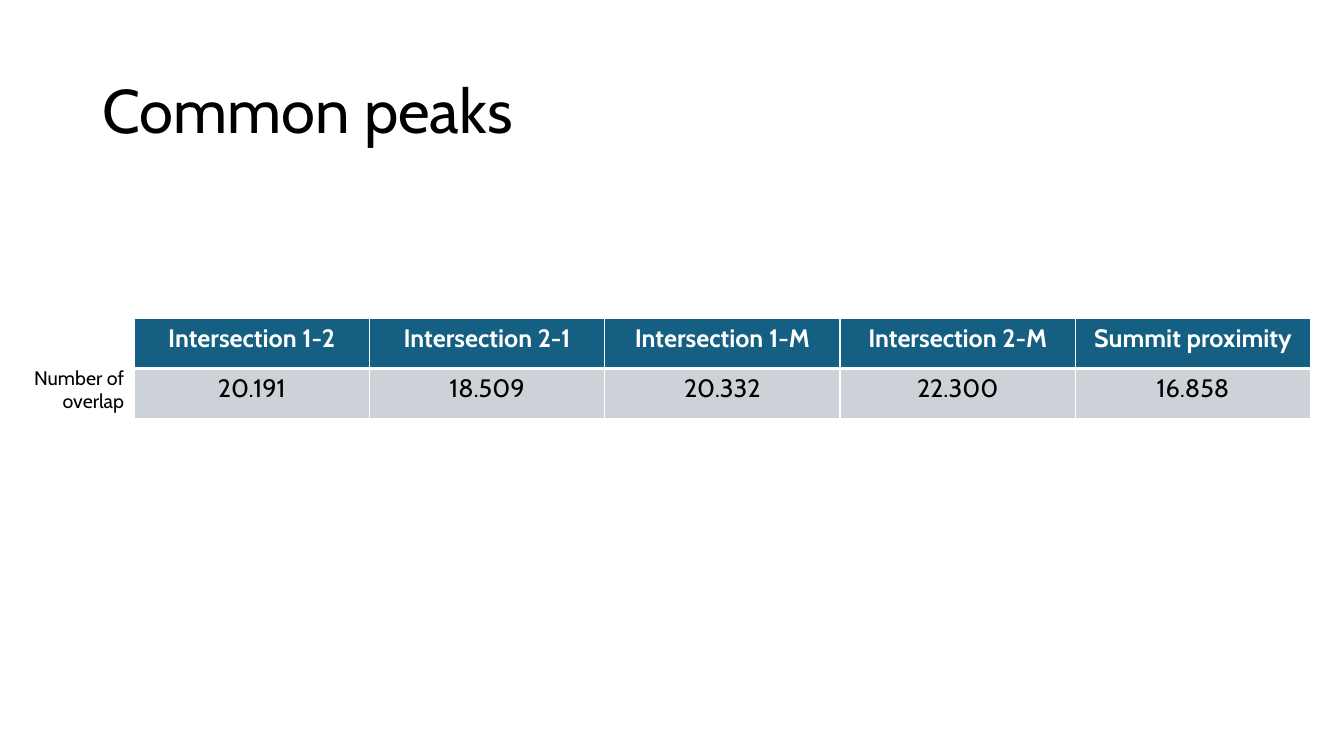
import pptx
import pptx.dml.color
import pptx.enum.text
import pptx.oxml
import pptx.oxml.ns
import pptx.util
from pptx.util import Inches

FONT = "Cabin"
ALIGN = pptx.enum.text.PP_ALIGN
ANCHOR = pptx.enum.text.MSO_ANCHOR
OVERLAPS = {
    "Intersection 1-2": "20.191",
    "Intersection 2-1": "18.509",
    "Intersection 1-M": "20.332",
    "Intersection 2-M": "22.300",
    "Summit proximity": "16.858",
}


def color(value):
    """Turn a hex string into a colour."""
    return pptx.dml.color.RGBColor.from_string(value)


def write(frame, text, size, align, ink="000000", bold=False):
    """Put one formatted paragraph in a text frame and return it."""
    frame.text = text
    para = frame.paragraphs[0]
    para.alignment = align
    para.font.name = FONT
    para.font.size = pptx.util.Pt(size)
    para.font.bold = bold
    para.font.color.rgb = color(ink)
    return para


def add_border(cell, side, width):
    """Draw a white line of the given width in points on one cell side."""
    cell._tc.get_or_add_tcPr().append(pptx.oxml.parse_xml(
        f'<a:ln{side} {pptx.oxml.ns.nsdecls("a")} w="{pptx.util.Pt(width)}">'
        f'<a:solidFill><a:srgbClr val="FFFFFF"/></a:solidFill></a:ln{side}>'))


def place_title(page, text, left, top, width, height):
    """Move and format the title placeholder."""
    title = page.shapes.title
    title.left, title.top, title.width, title.height = map(
        Inches, (left, top, width, height))
    title.text_frame.vertical_anchor = ANCHOR.MIDDLE
    para = write(title.text_frame, text, 44, ALIGN.LEFT)
    para.line_spacing = 0.9


def add_overlap_table(page, left, top, width, height):
    """Add the table of overlap counts with its row label on the left."""
    rows = [list(OVERLAPS), list(OVERLAPS.values())]
    table = page.shapes.add_table(
        len(rows), len(OVERLAPS), *map(Inches, (left, top, width, height))).table
    for row_index, texts in enumerate(rows):
        header = row_index == 0
        widths = {"L": 1, "R": 1, "T": 1 if header else 3, "B": 3 if header else 1}
        for column_index, text in enumerate(texts):
            cell = table.cell(row_index, column_index)
            write(cell.text_frame, text, 18, ALIGN.CENTER,
                  "FFFFFF" if header else "000000", header)
            for side, line_width in widths.items():
                add_border(cell, side, line_width)
            cell.fill.solid()
            cell.fill.fore_color.rgb = color("156082" if header else "CCD2D8")

    label_width, label_height = 1.16, 0.57
    label = page.shapes.add_textbox(
        Inches(left - label_width), Inches(top + height - label_height),
        Inches(label_width), Inches(label_height))
    label.text_frame.word_wrap = True
    label.text_frame.auto_size = pptx.enum.text.MSO_AUTO_SIZE.SHAPE_TO_FIT_TEXT
    write(label.text_frame, "Number of overlap", 14, ALIGN.RIGHT)


def main():
    """Build and save the deck."""
    deck = pptx.Presentation()
    deck.slide_width, deck.slide_height = Inches(13.33), Inches(7.5)
    page = deck.slides.add_slide(deck.slide_layouts[5])
    place_title(page, "Common peaks", 0.92, 0.4, 11.5, 1.45)
    add_overlap_table(page, 1.33, 3.16, 11.67, 0.99)
    deck.save("out.pptx")


if __name__ == "__main__":
    main()
